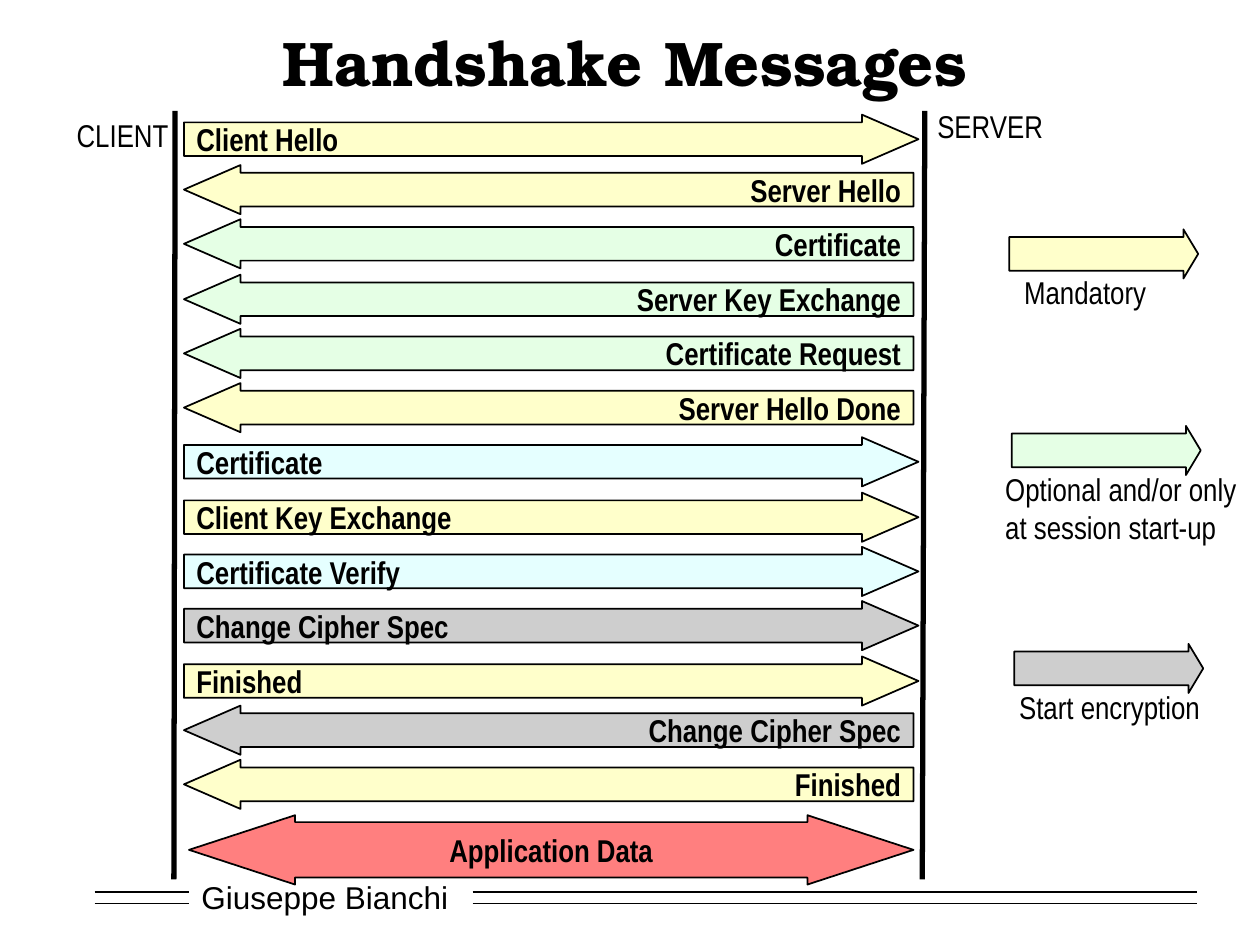
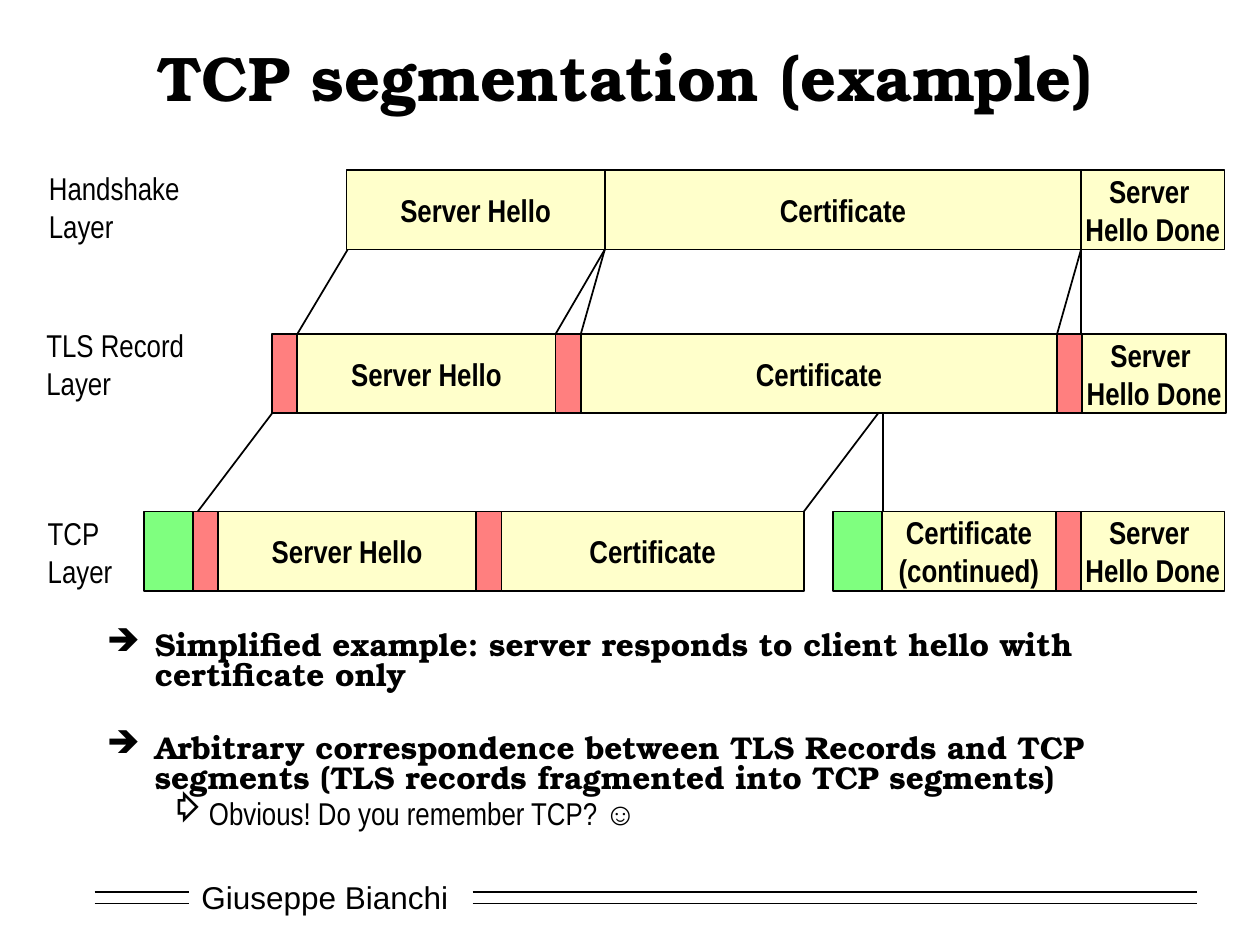
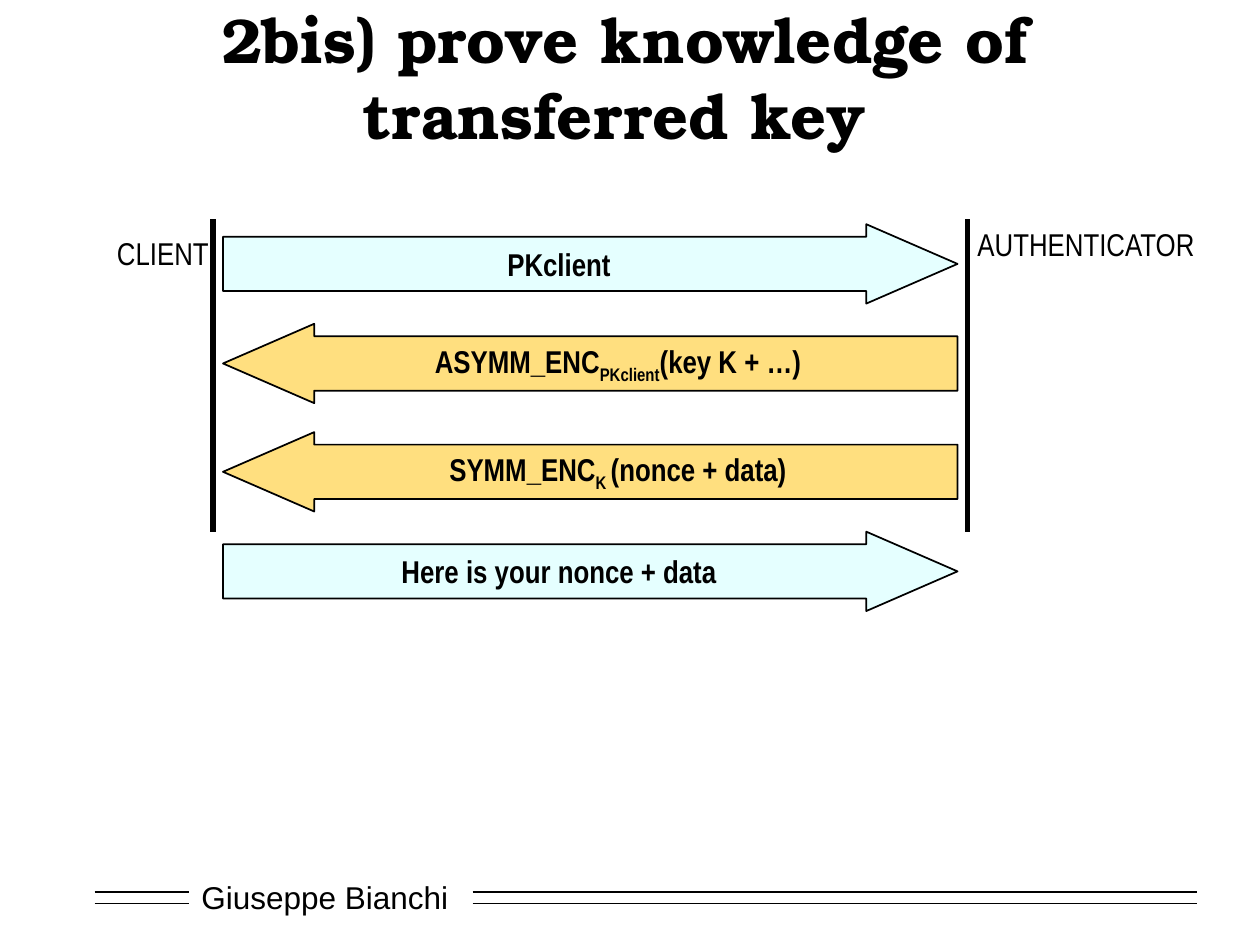
from lxml import etree
from pptx import Presentation
from pptx.dml.color import RGBColor
from pptx.enum.shapes import MSO_CONNECTOR, MSO_SHAPE
from pptx.enum.text import MSO_ANCHOR, MSO_AUTO_SIZE, PP_ALIGN
from pptx.oxml.ns import qn
from pptx.util import Inches, Pt

STRAIGHT = MSO_CONNECTOR.STRAIGHT
RECTANGLE = MSO_SHAPE.RECTANGLE
RIGHT_ARROW = MSO_SHAPE.RIGHT_ARROW
LEFT_ARROW = MSO_SHAPE.LEFT_ARROW
DOUBLE_ARROW = MSO_SHAPE.LEFT_RIGHT_ARROW
LEFT, CENTER, RIGHT = PP_ALIGN.LEFT, PP_ALIGN.CENTER, PP_ALIGN.RIGHT
MIDDLE = MSO_ANCHOR.MIDDLE
FIT_SHAPE = MSO_AUTO_SIZE.SHAPE_TO_FIT_TEXT

COLORS = {
    "black": "000000",
    "yellow": "FFFF99",
    "green": "CCFFCC",
    "cyan": "CCFFFF",
    "grey": "CECECE",
    "red": "FF0000",
    "lime": "00FF00",
    "orange": "FFC000",
}
OPAQUE = {"black", "grey"}
BLACK = RGBColor.from_string(COLORS["black"])
TITLE_FONT, LABEL_FONT, FOOTER_FONT = "TeX Gyre Bonum", "Arial Narrow", "Arial"
SHAFT = 0.685


def add_box(slide, preset, at, text="", fill=None, align=LEFT, bold=False,
            font=LABEL_FONT, size=18, adjustments=()):
    """Add a preset shape, or a text box when preset is None."""
    position = [Inches(value) for value in at]
    if preset is None:
        shape = slide.shapes.add_textbox(*position)
    else:
        shape = slide.shapes.add_shape(preset, *position)
        shape.shadow.inherit = False
        shape.fill.solid()
        shape.fill.fore_color.rgb = RGBColor.from_string(COLORS[fill])
        if fill not in OPAQUE:
            color = shape._element.spPr.find(qn("a:solidFill"))[0]
            etree.SubElement(color, qn("a:alpha"), val="50000")
        shape.line.color.rgb = BLACK
        shape.line.width = Pt(1)
        shape.text_frame.vertical_anchor = MIDDLE
        for index, value in enumerate(adjustments):
            shape.adjustments[index] = value
    frame = shape.text_frame
    frame.word_wrap = False
    frame.text = text
    for paragraph in frame.paragraphs:
        paragraph.alignment = align
        paragraph.font.name = font
        paragraph.font.size = Pt(size)
        paragraph.font.bold = bold
        paragraph.font.color.rgb = BLACK
    return shape


def add_line(slide, start, end, width=1):
    points = [Inches(value) for value in (*start, *end)]
    line = slide.shapes.add_connector(STRAIGHT, *points)
    line.line.color.rgb = BLACK
    line.line.width = Pt(width)
    etree.SubElement(line._element.spPr, qn("a:effectLst"))


presentation = Presentation()
presentation.slide_width = Inches(10)
presentation.slide_height = Inches(7.5)

# Footer and title of every slide
slides = []
for title_text, title_top in (
    ("Handshake Messages", 0.13),
    ("TCP segmentation (example)", 0.25),
    ("2bis) prove knowledge of transferred key ", 0.25),
):
    slide = presentation.slides.add_slide(presentation.slide_layouts[6])
    slides.append(slide)
    footer = add_box(slide, None, (1.5, 6.92, 2.17, 0.4), "Giuseppe Bianchi",
                     font=FOOTER_FONT)
    footer.text_frame.word_wrap = True
    footer.text_frame.vertical_anchor = MIDDLE
    for rule_top in (7.08, 7.17):
        for rule_left, rule_right in ((0.75, 1.5), (3.75, 9.5)):
            add_line(slide, (rule_left, rule_top), (rule_right, rule_top))
    title = add_box(slide, None, (0.75, title_top, 8.42, 0.71), title_text,
                    align=CENTER, bold=True, font=TITLE_FONT, size=36)
    title.text_frame.word_wrap = True
    title.text_frame.vertical_anchor = MIDDLE

handshake_slide, segmentation_slide, proof_slide = slides

# Slide 1: client and server lifelines
add_line(handshake_slide, (1.39, 0.88), (1.38, 6.98), 3)
add_line(handshake_slide, (7.34, 0.88), (7.32, 6.98), 3)

# Slide 1: messages
for top, preset, fill, message in (
    (0.91, RIGHT_ARROW, "yellow", "Client Hello"),
    (1.31, LEFT_ARROW, "yellow", "Server Hello"),
    (1.74, LEFT_ARROW, "green", "Certificate"),
    (2.18, LEFT_ARROW, "green", "Server Key Exchange"),
    (2.61, LEFT_ARROW, "green", "Certificate Request"),
    (3.04, LEFT_ARROW, "yellow", "Server Hello Done"),
    (3.47, RIGHT_ARROW, "cyan", "Certificate"),
    (3.91, RIGHT_ARROW, "yellow", "Client Key Exchange"),
    (4.34, RIGHT_ARROW, "cyan", "Certificate Verify"),
    (4.77, RIGHT_ARROW, "grey", "Change Cipher Spec"),
    (5.21, RIGHT_ARROW, "yellow", "Finished"),
    (5.6, LEFT_ARROW, "grey", "Change Cipher Spec"),
    (6.03, LEFT_ARROW, "yellow", "Finished"),
):
    from_client = preset == RIGHT_ARROW
    add_box(handshake_slide, preset,
            (1.46, top, 5.83 if from_client else 5.79, 0.39), message, fill,
            LEFT if from_client else RIGHT, True, adjustments=(SHAFT, 1.15))
add_box(handshake_slide, DOUBLE_ARROW, (1.5, 6.47, 5.75, 0.55),
        "Application Data", "red", CENTER, True, adjustments=(0.8, 1.53))

# Slide 1: legend arrows
for left, top, fill in ((8.01, 1.82, "yellow"), (8.03, 3.38, "green"),
                        (8.05, 5.11, "grey")):
    add_box(handshake_slide, RIGHT_ARROW, (left, top, 1.5, 0.39), fill=fill,
            adjustments=(SHAFT, 0.3))

# Plain labels of all slides
for slide, at, text in (
    (handshake_slide, (0.51, 0.87, 0.93, 0.4), "CLIENT"),
    (handshake_slide, (7.34, 0.8, 1.05, 0.4), "SERVER"),
    (handshake_slide, (8.03, 2.12, 1.17, 0.4), "Mandatory"),
    (handshake_slide, (7.88, 3.68, 2.1, 0.7),
     "Optional and/or only \vat session start-up"),
    (handshake_slide, (7.99, 5.41, 1.64, 0.4), "Start encryption"),
    (segmentation_slide, (0.29, 1.29, 1.24, 0.7), "Handshake\nLayer"),
    (segmentation_slide, (0.27, 2.54, 1.3, 0.7), "TLS Record\nLayer"),
    (segmentation_slide, (0.28, 4.03, 0.72, 0.7), "TCP\nLayer"),
    (proof_slide, (0.83, 1.81, 0.93, 0.4), "CLIENT"),
    (proof_slide, (7.66, 1.74, 1.94, 0.4), "AUTHENTICATOR"),
):
    label = add_box(slide, None, at, text)
    label.text_frame.auto_size = FIT_SHAPE

# Slide 2: rows of adjoining blocks, each block as width, fill, text
record_header = (0.2, "red", "")
tcp_header = (0.39, "lime", "")
server_hello = (2.05, "yellow", "Server Hello")
certificate = (3.78, "yellow", "Certificate")
certificate_start = (2.4, "yellow", "Certificate")
certificate_rest = (1.38, "yellow", "Certificate\n(continued)")
hello_done = (1.14, "yellow", "Server \vHello Done")
for left, top, blocks in (
    (2.75, 1.35, (server_hello, certificate, hello_done)),
    (2.16, 2.65, (record_header, server_hello, record_header, certificate,
                  record_header, hello_done)),
    (1.14, 4.06, (tcp_header, record_header, server_hello, record_header,
                  certificate_start)),
    (6.61, 4.06, (tcp_header, certificate_rest, record_header, hello_done)),
):
    for width, fill, text in blocks:
        add_box(segmentation_slide, RECTANGLE, (left, top, width, 0.63), text,
                fill, CENTER, True)
        left += width

# Slide 2: lines from each layer to the next
for upper, lower in ((2.76, 2.36), (4.8, 4.41), (4.8, 4.61), (8.58, 8.39),
                     (8.58, 8.58)):
    add_line(segmentation_slide, (upper, 1.98), (lower, 2.65))
for upper, lower in ((2.16, 1.57), (6.97, 6.38), (7.01, 7.01)):
    add_line(segmentation_slide, (upper, 3.28), (lower, 4.06))

# Slide 2: bullets
body = slides[1].shapes.add_textbox(Inches(0.75), Inches(4.97), Inches(8.42),
                                    Inches(1.93))
body.text_frame.word_wrap = True
bullets = (
    ("➔", 0.38, 0.38, 0, TITLE_FONT,
     "Simplified example: server responds to client hello with certificate only"),
    ("➔", 0.38, 0.38, 24, TITLE_FONT,
     "Arbitrary correspondence between TLS Records and TCP segments "
     "(TLS records fragmented into TCP segments)"),
    ("⇨", 0.81, 0.31, 3.6, LABEL_FONT, "Obvious! Do you remember TCP? ☺"),
)
body.text_frame.text = "\n".join(bullet[-1] for bullet in bullets)
for paragraph, (mark, margin, hanging, space, font, text) in zip(
        body.text_frame.paragraphs, bullets):
    paragraph.line_spacing = 0.8
    paragraph.space_before = Pt(space)
    properties = paragraph._p.get_or_add_pPr()
    properties.set("marL", str(Inches(margin)))
    properties.set("indent", str(-Inches(hanging)))
    etree.SubElement(properties, qn("a:buChar"), char=mark)
    paragraph.font.name = font
    paragraph.font.size = Pt(18)
    paragraph.font.bold = font == TITLE_FONT
    paragraph.font.color.rgb = BLACK

# Slide 3: client and authenticator lifelines
for lifeline in (1.69, 7.68):
    add_line(proof_slide, (lifeline, 1.74), (lifeline, 4.22), 3)

# Slide 3: messages, the second piece of each being a subscript
for top, preset, fill, pieces in (
    (1.78, RIGHT_ARROW, "cyan", ("PKclient",)),
    (2.57, LEFT_ARROW, "orange", ("ASYMM_ENC", "PKclient", "(key K + …) ")),
    (3.43, LEFT_ARROW, "orange", ("SYMM_ENC", "K ", "(nonce + data) ")),
    (4.22, RIGHT_ARROW, "cyan", ("Here is your nonce + data",)),
):
    arrow = add_box(proof_slide, preset, (1.77, top, 5.83, 0.63), "", fill,
                    CENTER, True, adjustments=(SHAFT, 1.15))
    for index, piece in enumerate(pieces):
        run = arrow.text_frame.paragraphs[0].add_run()
        run.text = piece
        if index == 1:
            run._r.get_or_add_rPr().set("baseline", "-25000")

presentation.save("out.pptx")
